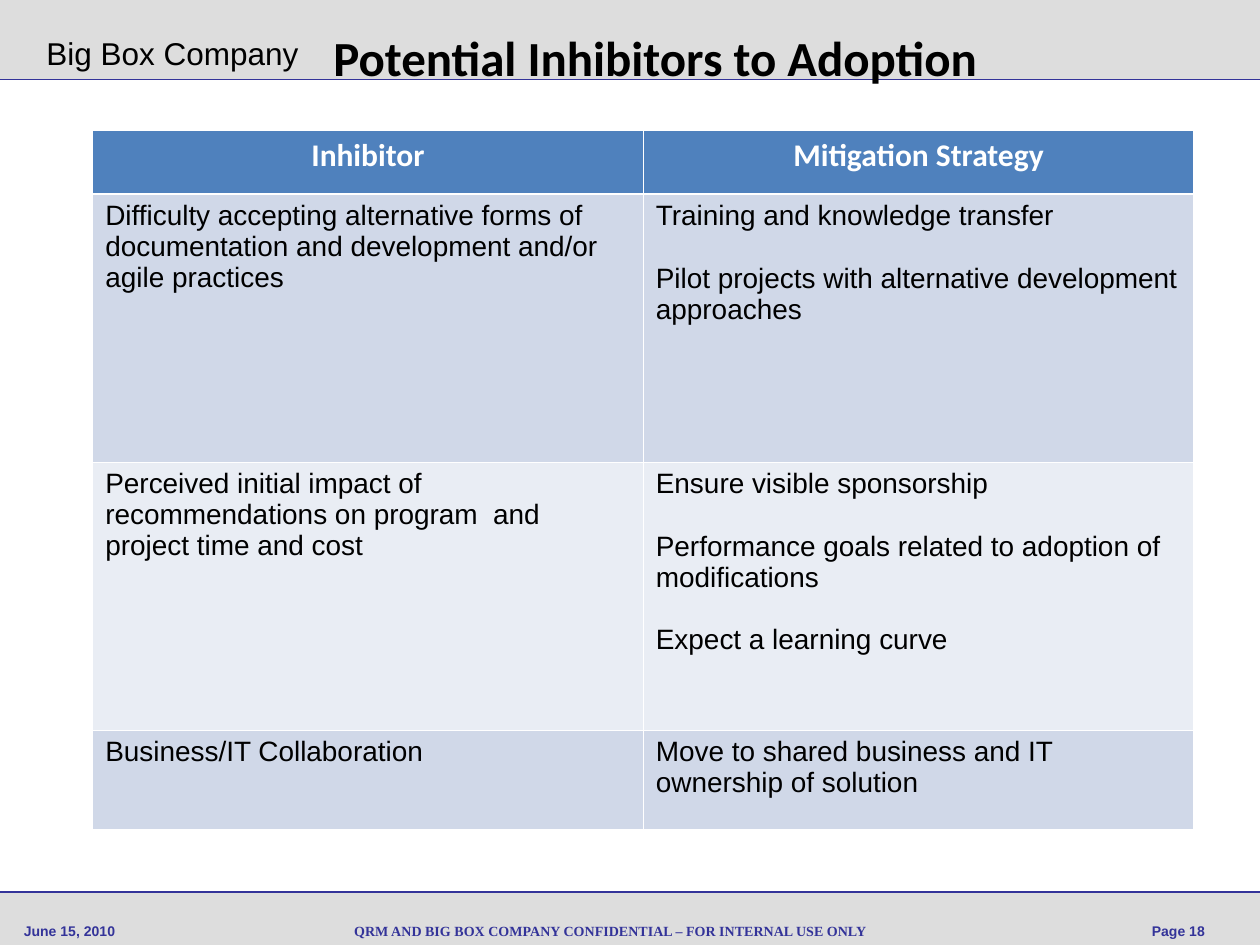
from typing import NamedTuple

from lxml import etree
from pptx import Presentation
from pptx.dml.color import RGBColor
from pptx.enum import shapes, text
from pptx.oxml import ns
from pptx.util import Pt

COLORS = {
    "band": "DDDDDD",
    "navy": "333399",
    "black": "000000",
    "white": "FFFFFF",
    "header": "4F81BD",
    "odd_row": "D0D8E8",
    "even_row": "E9EDF4",
}
WIDTH, HEIGHT = 720, 540
HEADER_BOTTOM, FOOTER_TOP = 45.4, 509.8
FOOTER_TEXT_TOP, FOOTER_TEXT_HEIGHT = 523.4, 16.6
ALIGN = text.PP_ALIGN


class Style(NamedTuple):
    size: float
    font: str
    color: str
    bold: bool = False
    align: text.PP_ALIGN = ALIGN.LEFT


class Label(NamedTuple):
    words: str
    left: float
    top: float
    width: float
    height: float
    style: Style


class Row(NamedTuple):
    height: float
    fill: str
    style: Style
    inhibitor: list[str]
    strategies: list[str]


DATE_STYLE = Style(8, "Arial", "navy", True)
HEADING = Style(18, "Calibri", "white", True, ALIGN.CENTER)
BODY = Style(16, "Arial", "black")

LABELS = [
    Label("QRM AND BIG BOX COMPANY CONFIDENTIAL – FOR INTERNAL USE ONLY",
          190, FOOTER_TEXT_TOP, 318, FOOTER_TEXT_HEIGHT,
          Style(8, "Times New Roman", "navy", True, ALIGN.CENTER)),
    Label("June 15, 2010", 6.5, FOOTER_TEXT_TOP, 101.5, FOOTER_TEXT_HEIGHT, DATE_STYLE),
    Label("Page 18", 560.2, FOOTER_TEXT_TOP, 135.4, FOOTER_TEXT_HEIGHT,
          DATE_STYLE._replace(align=ALIGN.RIGHT)),
    Label("Big Box Company", 19.4, 15.8, 159, 28.8, Style(18, "Arial", "black")),
    Label("Potential Inhibitors to Adoption", 50.4, 12.2, 648, 90,
          Style(28, "Calibri", "black", True, ALIGN.CENTER)),
]

ROWS = [
    Row(36.4, "header", HEADING, ["Inhibitor"], ["Mitigation Strategy"]),
    Row(153.2, "odd_row", BODY,
        ["Difficulty accepting alternative forms of documentation and "
         "development and/or agile practices"],
        ["Training and knowledge transfer",
         "Pilot projects with alternative development approaches"]),
    Row(153.2, "even_row", BODY,
        ["Perceived initial impact of recommendations on program  and "
         "project time and cost"],
        ["Ensure visible sponsorship",
         "Performance goals related to adoption of modifications",
         "Expect a learning curve"]),
    Row(56.8, "odd_row", BODY, ["Business/IT Collaboration"],
        ["Move to shared business and IT ownership of solution"]),
]
TABLE_LEFT, TABLE_TOP, COLUMN_WIDTH = 53, 74.5, 314.6
PARAGRAPH_GAP = 18
THIN, THICK = 0.45, 1.47


def rgb(name: str) -> RGBColor:
    return RGBColor.from_string(COLORS[name])


def write(frame, paragraphs: list[str], style: Style) -> None:
    frame.word_wrap = True
    for index, words in enumerate(paragraphs):
        paragraph = frame.add_paragraph() if index else frame.paragraphs[0]
        paragraph.alignment = style.align
        if index:
            paragraph.space_before = Pt(PARAGRAPH_GAP)
        run = paragraph.add_run()
        run.text = words
        run.font.size = Pt(style.size)
        run.font.name = style.font
        run.font.bold = style.bold
        run.font.color.rgb = rgb(style.color)


def draw_band(slide, top: float, height: float) -> None:
    band = slide.shapes.add_shape(shapes.MSO_SHAPE.RECTANGLE,
                                  Pt(0), Pt(top), Pt(WIDTH), Pt(height))
    band.shadow.inherit = False
    band.fill.solid()
    band.fill.fore_color.rgb = rgb("band")
    band.line.fill.background()


def draw_rule(slide, y: float) -> None:
    rule = slide.shapes.add_connector(shapes.MSO_CONNECTOR.STRAIGHT,
                                      Pt(WIDTH), Pt(y), Pt(0), Pt(y))
    rule.line.color.rgb = rgb("navy")
    rule.line.width = Pt(1)
    etree.SubElement(rule._element.spPr, ns.qn("a:effectLst"))


def draw_label(slide, label: Label) -> None:
    box = slide.shapes.add_textbox(Pt(label.left), Pt(label.top),
                                   Pt(label.width), Pt(label.height))
    box.text_frame.vertical_anchor = text.MSO_ANCHOR.TOP
    write(box.text_frame, [label.words], label.style)


def set_borders(cell, top: float, bottom: float) -> None:
    """Give the cell white edges; borders must come before the fill in tcPr."""
    properties = cell._tc.get_or_add_tcPr()
    edges = {"a:lnL": THIN, "a:lnR": THIN, "a:lnT": top, "a:lnB": bottom}
    for tag, width in edges.items():
        edge = etree.SubElement(properties, ns.qn(tag), w=str(int(Pt(width))))
        fill = etree.SubElement(edge, ns.qn("a:solidFill"))
        etree.SubElement(fill, ns.qn("a:srgbClr"), val=COLORS["white"])


def draw_table(slide, rows: list[Row]) -> None:
    table = slide.shapes.add_table(
        len(rows), 2, Pt(TABLE_LEFT), Pt(TABLE_TOP), Pt(2 * COLUMN_WIDTH),
        Pt(sum(row.height for row in rows))).table
    for column in table.columns:
        column.width = Pt(COLUMN_WIDTH)
    for index, row in enumerate(rows):
        table.rows[index].height = Pt(row.height)
        for cell, paragraphs in zip(table.rows[index].cells,
                                    (row.inhibitor, row.strategies)):
            set_borders(cell, top=THICK if index == 1 else THIN,
                        bottom=THICK if index == 0 else THIN)
            cell.fill.solid()
            cell.fill.fore_color.rgb = rgb(row.fill)
            write(cell.text_frame, paragraphs, row.style)


def main() -> None:
    deck = Presentation()
    deck.slide_width, deck.slide_height = Pt(WIDTH), Pt(HEIGHT)
    slide = deck.slides.add_slide(deck.slide_layouts[6])
    draw_band(slide, 0, HEADER_BOTTOM)
    draw_band(slide, FOOTER_TOP, HEIGHT - FOOTER_TOP)
    for y in (HEADER_BOTTOM, FOOTER_TOP):
        draw_rule(slide, y)
    for label in LABELS:
        draw_label(slide, label)
    draw_table(slide, ROWS)
    deck.save("out.pptx")


if __name__ == "__main__":
    main()
